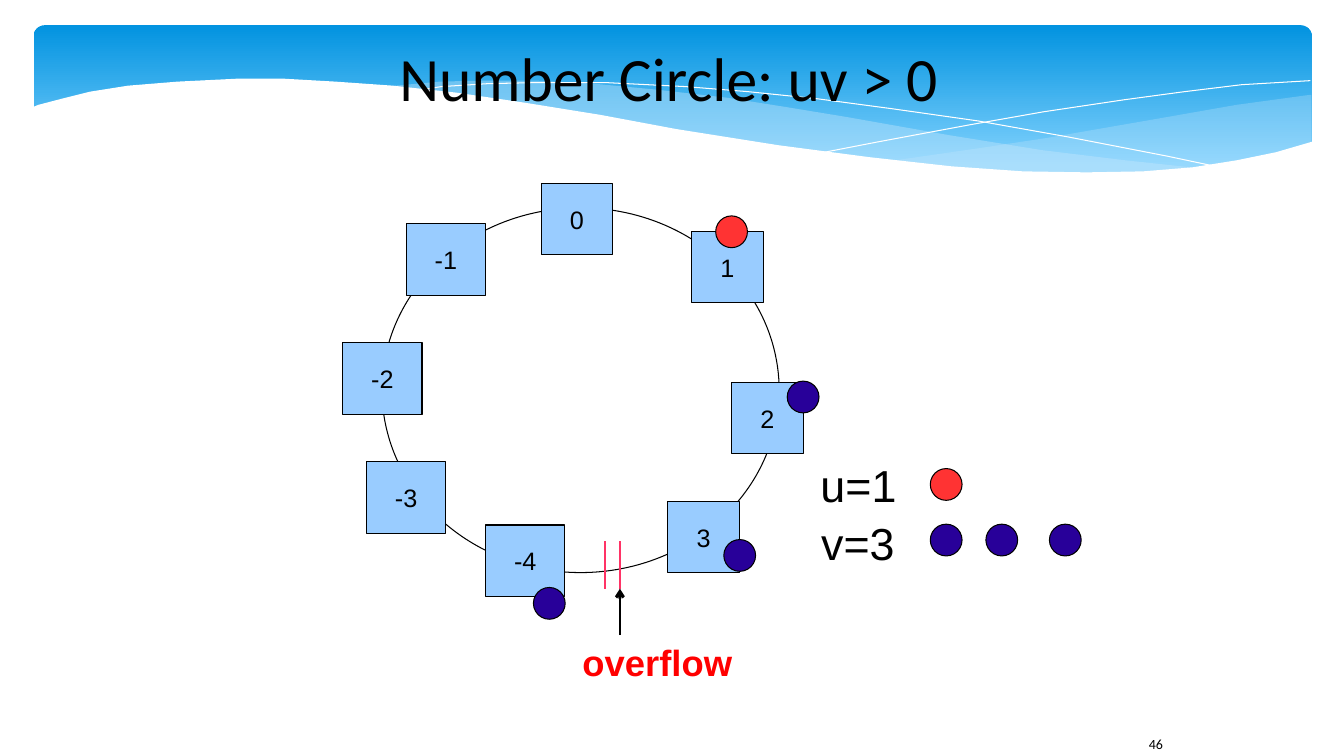
from lxml import etree
from pptx import Presentation
from pptx.dml.color import RGBColor
from pptx.enum.shapes import MSO_CONNECTOR, MSO_SHAPE
from pptx.enum.text import MSO_ANCHOR, PP_ALIGN
from pptx.oxml.ns import qn
from pptx.util import Pt

RECT, OVAL, ROUND = MSO_SHAPE.RECTANGLE, MSO_SHAPE.OVAL, MSO_SHAPE.ROUNDED_RECTANGLE
STRAIGHT = MSO_CONNECTOR.STRAIGHT
MIDDLE = MSO_ANCHOR.MIDDLE
CENTER, LEFT = PP_ALIGN.CENTER, PP_ALIGN.LEFT
RED, NAVY, BLACK, WHITE = "FF3333", "280099", "000000", "FFFFFF"


def paint(sp, fill=None, line=None):
    sp.shadow.inherit = False
    for part, color in ((sp.fill, fill), (sp.line.fill, line)):
        if color:
            part.solid()
            part.fore_color.rgb = RGBColor.from_string(color)
        else:
            part.background()
    if line:
        sp.line.width = Pt(0)


def write(sp, text, size, font="Arial", color=BLACK, align=LEFT, bold=False):
    tf = sp.text_frame
    tf.text = text
    tf.word_wrap = False
    p = tf.paragraphs[0]
    p.alignment = align
    r = p.runs[0]
    r.font.size = Pt(size)
    r.font.name = font
    r.font.bold = bold
    r.font.color.rgb = RGBColor.from_string(color)


prs = Presentation()
prs.slide_width, prs.slide_height = Pt(960), Pt(540)
s = prs.slides.add_slide(prs.slide_layouts[5])
shapes = s.shapes

banner = shapes.add_shape(ROUND, Pt(24), Pt(18), Pt(913), Pt(112.3))
banner.adjustments[0] = 0.071
paint(banner)
banner.fill.gradient()
banner.fill.gradient_angle = 270
for stop, pos, color in zip(banner.fill.gradient_stops, (0, 0.9), ("0293E0", "83D3FE")):
    stop.position = pos
    stop.color.rgb = RGBColor.from_string(color)

right_sweep = [
    (936, 67.7), (883.4, 74.9), (825.8, 85), (747.4, 98.6), (699.8, 105.8),
    (635, 115.2), (676.8, 118.8), (726.5, 122.4), (771.1, 123.8), (810.7, 123.1),
    (845.3, 120.2), (877, 116.6), (905, 110.9), (936.7, 102.2), (936.7, 67.7)]
middle_sweep = [
    (856.8, 120.2), (803.5, 114.5), (744.5, 107.3), (677.5, 96.5), (604.1, 83.5),
    (560.2, 76.3), (519.1, 69.8), (469.4, 64.1), (424.1, 59.8), (383, 57.6),
    (347, 57.6), (314.6, 58.3), (275, 61.9), (328.3, 67.7), (388.1, 76.3),
    (431.3, 83.5), (508.3, 97.2), (577.4, 108), (638.6, 115.9), (693.4, 121),
    (753.1, 123.8), (794.9, 124.6), (832.3, 122.4)]
falling_curve = [
    (296.6, 64.8), (315.4, 61.9), (348.5, 59.8), (385.2, 59), (432, 59),
    (489.6, 61.9), (534.2, 65.5), (583.9, 70.6), (637.9, 77.8), (698.4, 86.4),
    (763.2, 97.9), (833.8, 111.6), (871.2, 119.5)]
rising_curve = [
    (589, 108.7), (626.4, 101.5), (691.9, 89.3), (745.2, 79.9), (802.8, 71.3),
    (846, 65.5), (887, 60.5), (936, 57.6)]
white_wave = [
    (938, 101), (911.5, 108.7), (883.4, 114.5), (851.8, 119.5), (816.5, 122.4),
    (776.2, 123.1), (730.8, 122.4), (679.7, 118.8), (621.4, 112.3), (555.8, 103.7),
    (483.1, 92.2), (429.1, 82.1), (375.1, 73.4), (326.2, 66.2), (280.8, 61.2),
    (239.8, 58.3), (203, 56.2), (169.2, 56.2), (126.7, 58.3), (91.4, 61.2),
    (64.1, 65.5), (43.9, 70.6), (27.4, 74.9), (22.3, 77), (22.3, 161), (938, 161)]

for points, fill, alpha, line in (
        (right_sweep, "C6E7FC", 29, None),
        (middle_sweep, "C6E7FC", 40, None),
        (falling_curve, None, None, WHITE),
        (rising_curve, None, None, WHITE),
        (white_wave, WHITE, None, None)):
    start, *rest = [(Pt(x), Pt(y)) for x, y in points]
    builder = shapes.build_freeform(*start)
    builder.add_line_segments(rest, close=fill is not None)
    sp = builder.convert_to_shape()
    paint(sp, fill, line)
    if alpha:
        clr = sp._element.spPr.find(qn("a:solidFill")).find(qn("a:srgbClr"))
        etree.SubElement(clr, qn("a:alpha"), val=str(alpha * 1000))

title = shapes.title
title.left, title.top, title.width, title.height = Pt(185.8), Pt(18), Pt(584), Pt(73.4)
write(title, "Number Circle: uv > 0", 44, "Calibri", align=CENTER)
tf = title.text_frame
tf.vertical_anchor = MIDDLE
tf.margin_left = tf.margin_right = tf.margin_top = tf.margin_bottom = 0
banner._element.getparent().append(title._element)

ring = shapes.add_shape(OVAL, Pt(272.9), Pt(148.5), Pt(283.7), Pt(260.5))
paint(ring, line=BLACK)

for number, x, y in (
        (0, 386.6, 131), (1, 494, 165.3), (2, 522.5, 273), (3, 477, 358),
        (-1, 290.2, 159.7), (-2, 244.8, 244.8), (-3, 261.8, 329.8), (-4, 346.9, 375)):
    width = 56.7 if number < 0 else 51.1
    box = shapes.add_shape(RECT, Pt(x), Pt(y), Pt(width), Pt(51.1))
    paint(box, "99CCFF", BLACK)
    write(box, str(number), 18, align=CENTER)
    box.text_frame.vertical_anchor = MIDDLE

for x, y1, y2, color, width, arrow in (
        (442.8, 386.6, 420.5, "FF3366", 1.42, False),
        (432, 386.6, 420.5, "FF3366", 1.42, False),
        (442.8, 453.6, 420.5, BLACK, 0, True)):
    c = shapes.add_connector(STRAIGHT, Pt(x), Pt(y1), Pt(x), Pt(y2))
    c.line.color.rgb = RGBColor.from_string(color)
    c.line.width = Pt(width)
    if arrow:
        etree.SubElement(c.line._get_or_add_ln(), qn("a:tailEnd"), type="arrow")
    etree.SubElement(c._element.spPr, qn("a:effectLst"))

for x, y, color in (
        (511.2, 154.2, RED), (562.3, 272.2, NAVY), (517, 385.4, NAVY), (381, 419.6, NAVY),
        (664.5, 334.7, RED), (664.5, 374.4, NAVY), (704.2, 374.4, NAVY), (749.6, 374.4, NAVY)):
    dot = shapes.add_shape(OVAL, Pt(x), Pt(y), Pt(22.7), Pt(22.7))
    paint(dot, color, BLACK)

for text, x, y, w, h, size, font, color, bold in (
        ("u=1", 579, 323.3, 69, 44.6, 32, "Arial", BLACK, False),
        ("v=3", 579.5, 365, 67, 44.6, 32, "Arial", BLACK, False),
        ("overflow", 409, 453.6, 122.4, 37.4, 26, "Arial", "FF0000", True),
        ("46", 813.6, 522, 44, 28.8, 10, "Calibri", BLACK, False)):
    label = shapes.add_textbox(Pt(x), Pt(y), Pt(w), Pt(h))
    write(label, text, size, font, color, bold=bold)
    label.text_frame.word_wrap = text == "46"

prs.save("out.pptx")
